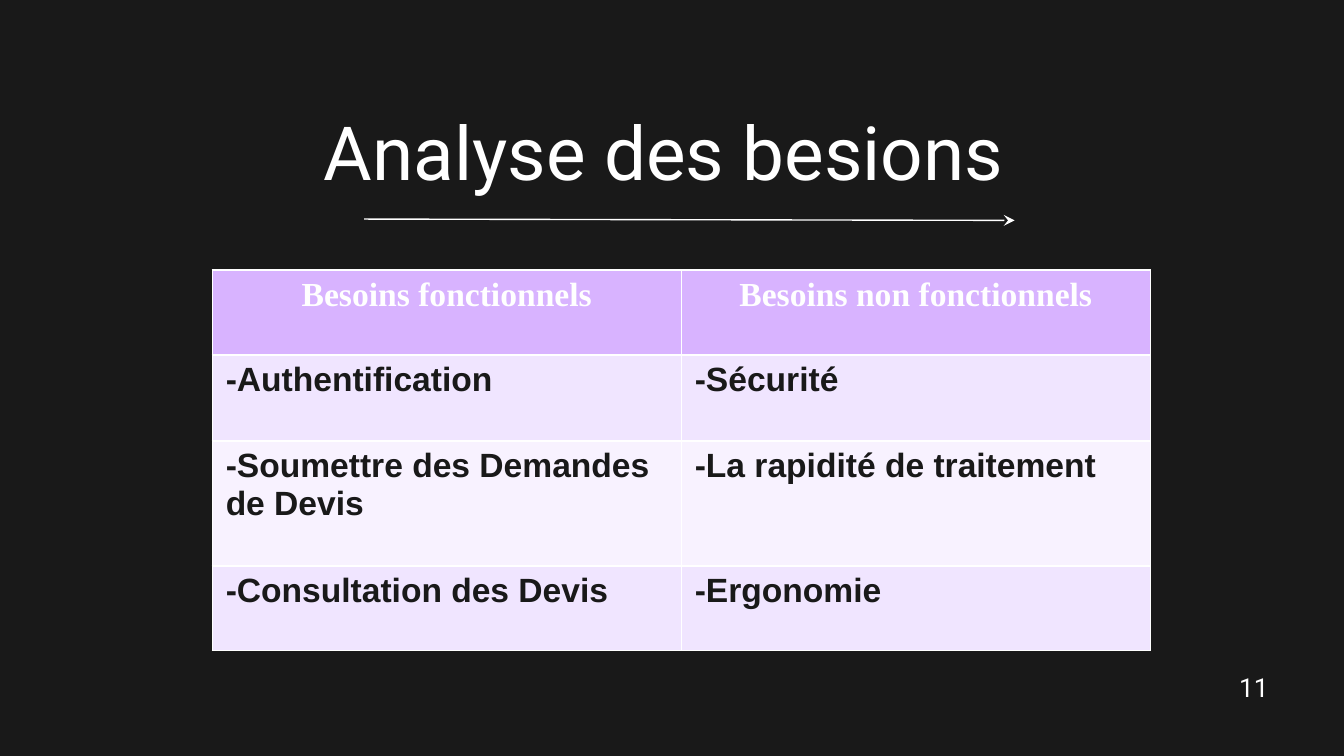
from lxml import etree
from pptx import Presentation
from pptx.dml.color import RGBColor
from pptx.enum import shapes, text
from pptx.oxml import ns
from pptx.util import Inches, Pt

DARK = RGBColor(0x19, 0x19, 0x19)
WHITE = RGBColor(0xFF, 0xFF, 0xFF)
HEAD = RGBColor(0xD8, 0xB3, 0xFF)
BANDS = [RGBColor(0xF0, 0xE5, 0xFF), RGBColor(0xF8, 0xF2, 0xFF)]

TITLE = "Analyse des besions "
PAGE = "11"
NEEDS = [
    ("Besoins fonctionnels", "Besoins non fonctionnels"),
    ("-Authentification ", "-Sécurité"),
    ("-Soumettre des Demandes de Devis", "-La rapidité de traitement"),
    ("-Consultation des Devis", "-Ergonomie"),
]
ROWS = [0.63, 0.64, 0.93, 0.63]
COL = 3.49


def write(frame, words, size, font, color, align, bold=False):
    para = frame.paragraphs[0]
    para.alignment = align
    run = para.add_run()
    run.text = words
    run.font.size = Pt(size)
    run.font.name = font
    run.font.bold = bold
    run.font.color.rgb = color


def add_text(slide, box, words, size, anchor):
    frame = slide.shapes.add_textbox(*map(Inches, box)).text_frame
    frame.word_wrap = True
    frame.vertical_anchor = anchor
    write(frame, words, size, "Roboto", WHITE, text.PP_ALIGN.CENTER)


def add_arrow(slide, start, end):
    line = slide.shapes.add_connector(
        shapes.MSO_CONNECTOR.STRAIGHT, *map(Inches, start + end))
    line.line.color.rgb = WHITE
    line.line.width = Pt(0.75)
    tip = etree.SubElement(line.line._get_or_add_ln(), ns.qn("a:tailEnd"))
    tip.set("type", "stealth")
    etree.SubElement(line._element.spPr, ns.qn("a:effectLst"))


def add_borders(cell):
    props = cell._tc.get_or_add_tcPr()
    for spot, side in enumerate(("lnL", "lnR", "lnT", "lnB")):
        edge = etree.Element(ns.qn("a:" + side), w=str(Pt(1)))
        fill = etree.SubElement(edge, ns.qn("a:solidFill"))
        etree.SubElement(fill, ns.qn("a:srgbClr"), val=str(WHITE))
        props.insert(spot, edge)


def add_needs(slide, left, top):
    table = slide.shapes.add_table(
        len(NEEDS), 2, Inches(left), Inches(top),
        Inches(2 * COL), Inches(sum(ROWS))).table
    for col in table.columns:
        col.width = Inches(COL)
    for i, (row, high) in enumerate(zip(NEEDS, ROWS)):
        table.rows[i].height = Inches(high)
        for j, words in enumerate(row):
            cell = table.cell(i, j)
            cell.fill.solid()
            if i == 0:
                cell.fill.fore_color.rgb = HEAD
                style = "Times New Roman", WHITE, text.PP_ALIGN.CENTER
            else:
                cell.fill.fore_color.rgb = BANDS[(i - 1) % 2]
                style = "Arial", DARK, text.PP_ALIGN.LEFT
            write(cell.text_frame, words, 18, *style, bold=True)
            add_borders(cell)


def main():
    deck = Presentation()
    deck.slide_width = Inches(10)
    deck.slide_height = deck.slide_width * 9 // 16
    slide = deck.slides.add_slide(deck.slide_layouts[6])
    slide.background.fill.solid()
    slide.background.fill.fore_color.rgb = DARK
    add_text(slide, (-0.15, 0.74, 10.31, 1.78), TITLE, 40, text.MSO_ANCHOR.TOP)
    add_arrow(slide, (2.71, 1.63), (7.55, 1.64))
    add_needs(slide, 1.58, 2.01)
    add_text(slide, (8.79, 4.69, 1.08, 0.85), PAGE, 14, text.MSO_ANCHOR.MIDDLE)
    deck.save("out.pptx")


if __name__ == "__main__":
    main()
